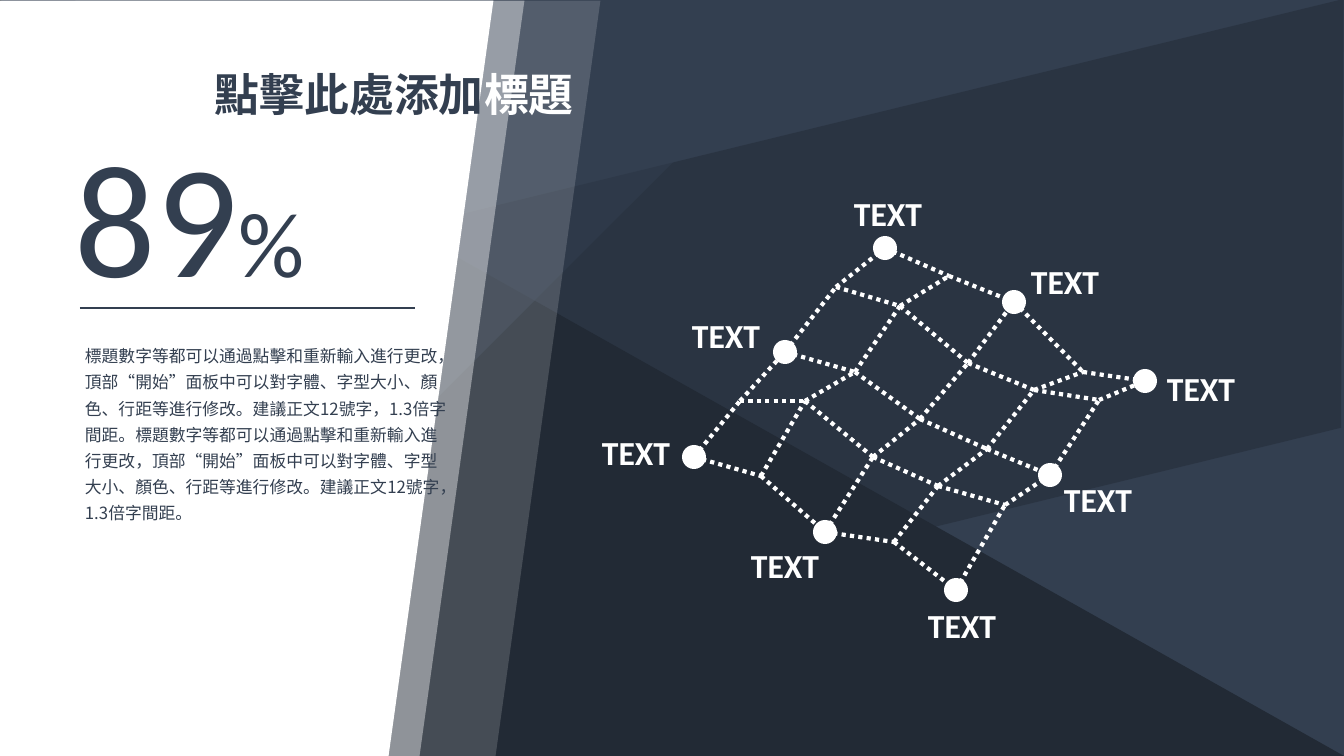
"""Builds a statistic slide with a dotted mesh of labelled points."""
from lxml import etree
from pptx import Presentation
from pptx.dml.color import RGBColor
from pptx.enum.dml import MSO_LINE
from pptx.enum.shapes import MSO_CONNECTOR, MSO_SHAPE
from pptx.enum.text import MSO_AUTO_SIZE
from pptx.oxml.ns import qn
from pptx.util import Emu, Pt

TRIANGLE = MSO_SHAPE.ISOSCELES_TRIANGLE
PARALLELOGRAM = MSO_SHAPE.PARALLELOGRAM
MANUAL_INPUT = MSO_SHAPE.FLOWCHART_MANUAL_INPUT
OVAL = MSO_SHAPE.OVAL
STRAIGHT = MSO_CONNECTOR.STRAIGHT
ROUND_DOT = MSO_LINE.ROUND_DOT
GROW = MSO_AUTO_SIZE.SHAPE_TO_FIT_TEXT

SLATE = RGBColor(0x33, 0x3F, 0x50)
NIGHT = RGBColor(0x22, 0x2A, 0x35)
WHITE = RGBColor(0xFF, 0xFF, 0xFF)
CJK = "Noto Sans CJK SC"
LATIN = "Calibri"

TITLE = [("點擊此處添加", 32, SLATE), ("標題", 32, WHITE)]
FIGURE = [("89", 115, SLATE), ("%", 66, SLATE)]
ADVICE = ("標題數字等都可以通過點擊和重新輸入進行更改，頂部“開始”面板中可以對字體、"
          "字型大小、顏色、行距等進行修改。建議正文12號字，1.3倍字間距。")
BODY = [(ADVICE * 2, 12, SLATE)]
LABEL = [("TEXT", 24, WHITE)]

# kind, box, rotation, adjustment, colour, opacity
BACKDROP = [
    (TRIANGLE, (0, 0, 1344, 756), 0, 0, NIGHT, 100),
    (PARALLELOGRAM, (-72, 169, 1486, 416), 346.3, 0.25, NIGHT, 50),
    (TRIANGLE, (119, -117, 545, 1121), 199.1, 1, SLATE, 50),
]
PANELS = [(-40, 16), (-116, 40), (-147, 100)]
MESH = [
    [(694, 457), (761, 476), (825, 532), (894, 542), (956, 590)],
    [(740, 401), (805, 401), (873, 457), (938, 486), (1005, 505)],
    [(785, 352), (855, 372), (920, 419), (987, 449), (1050, 475)],
    [(836, 287), (900, 306), (968, 363), (1034, 390), (1099, 400)],
    [(885, 248), (949, 276), (1014, 302), (1083, 372), (1145, 381)],
]
LABELS = [(918, 600), (1054, 474), (1157, 363), (1021, 256),
          (844, 188), (682, 310), (592, 427), (741, 540)]
DOT = 24


def px(*lengths):
    return [Emu(round(n * 914400 / 100.8)) for n in lengths]


def add_filled(s, kind, box, color, opacity=100):
    sp = s.shapes.add_shape(kind, *px(*box))
    sp.shadow.inherit = False
    sp.line.fill.background()
    sp.fill.solid()
    sp.fill.fore_color.rgb = color
    if opacity < 100:
        clr = sp.element.spPr.find(qn("a:solidFill")).find(qn("a:srgbClr"))
        etree.SubElement(clr, qn("a:alpha")).set("val", str(opacity * 1000))
    return sp


def add_line(s, start, end, color, width):
    line = s.shapes.add_connector(STRAIGHT, *px(*start, *end))
    line.line.color.rgb = color
    line.line.width = Pt(width)
    etree.SubElement(line.element.spPr, qn("a:effectLst"))
    return line


def add_text(s, box, runs, font, bold=False, wrap=True, spacing=None):
    tf = s.shapes.add_textbox(*px(*box)).text_frame
    tf.word_wrap = wrap
    tf.auto_size = GROW
    p = tf.paragraphs[0]
    if spacing:
        p.line_spacing = spacing
    for text, size, color in runs:
        r = p.add_run()
        r.text = text
        r.font.size = Pt(size)
        r.font.bold = bold
        r.font.color.rgb = color
        r.font.name = font
        etree.SubElement(r.font._element, qn("a:ea")).set("typeface", font)


def add_mesh(s):
    last = len(MESH) - 1
    for i, row in enumerate(MESH):
        for j, node in enumerate(row):
            ends = []
            if j < last:
                ends.append(row[j + 1])
            if i < last:
                ends.append(MESH[i + 1][j])
            for end in ends:
                add_line(s, node, end, WHITE, 3).line.dash_style = ROUND_DOT
    steps = (0, last // 2, last)
    for i in steps:
        for j in steps:
            if i in (0, last) or j in (0, last):
                x, y = MESH[i][j]
                add_filled(s, OVAL, (x - DOT / 2, y - DOT / 2, DOT, DOT), WHITE)


def main():
    prs = Presentation()
    prs.slide_width, prs.slide_height = px(1344, 756)
    s = prs.slides.add_slide(prs.slide_layouts[6])
    s.background.fill.solid()
    s.background.fill.fore_color.rgb = SLATE

    for kind, box, rotation, adjustment, color, opacity in BACKDROP:
        sp = add_filled(s, kind, box, color, opacity)
        sp.rotation = rotation
        sp.adjustments[0] = adjustment
    for left, opacity in PANELS:
        sp = add_filled(s, MANUAL_INPUT, (left, 116, 756, 525), WHITE, opacity)
        sp.rotation = 90
        sp.element.spPr.get_or_add_xfrm().set("flipH", "1")

    add_text(s, (205, 62, 379, 65), TITLE, CJK, bold=True)
    add_text(s, (65, 112, 250, 206), FIGURE, LATIN)
    add_line(s, (80, 308), (415, 308), SLATE, 1)
    add_text(s, (75, 335, 385, 195), BODY, CJK, spacing=1.3)

    add_mesh(s)
    for x, y in LABELS:
        add_text(s, (x, y, 89, 50), LABEL, LATIN, bold=True, wrap=False)
    prs.save("out.pptx")


if __name__ == "__main__":
    main()
